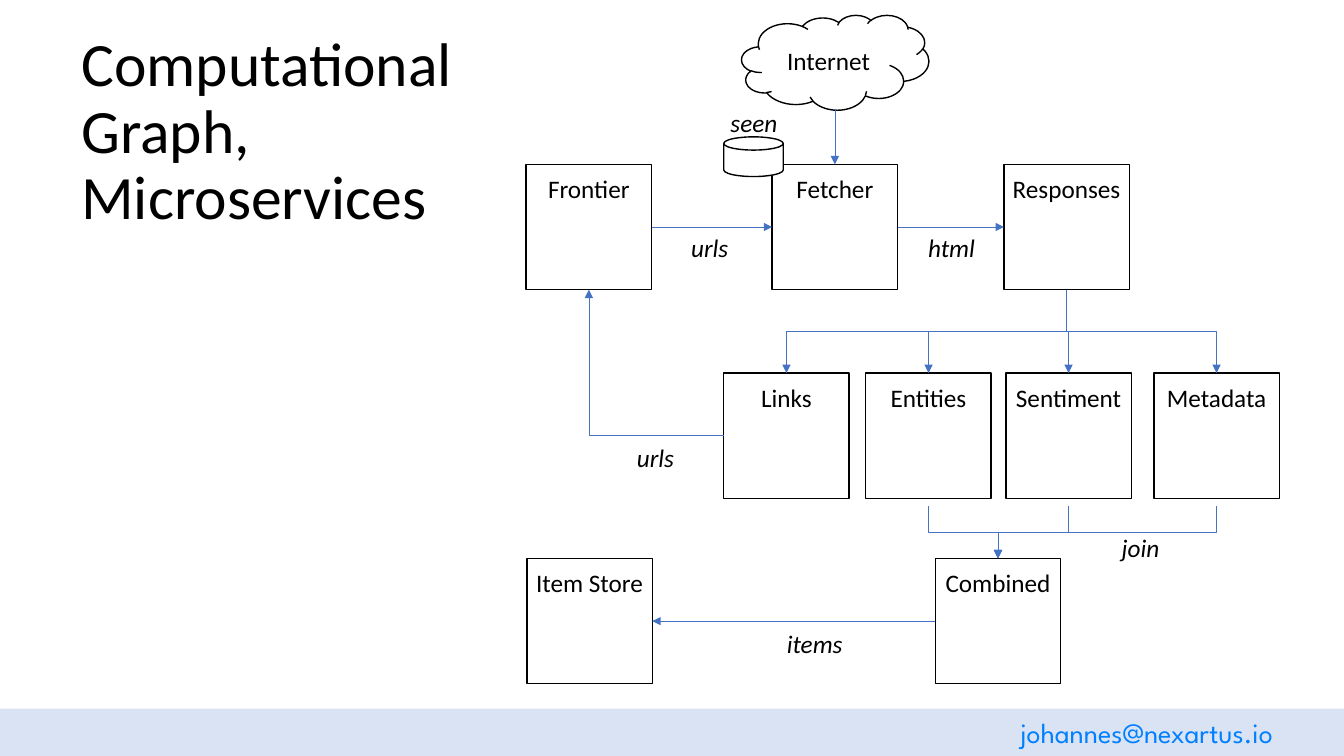
from typing import NamedTuple

from lxml import etree
from pptx import Presentation
from pptx import util as u
from pptx.dml.color import RGBColor
from pptx.enum import shapes, text
from pptx.oxml import ns

BLACK = RGBColor(0x00, 0x00, 0x00)
WHITE = RGBColor(0xFF, 0xFF, 0xFF)
FLOW_BLUE = RGBColor(0x44, 0x72, 0xC4)
FOOTER_BLUE = RGBColor(0xDA, 0xE3, 0xF3)
EMAIL_BLUE = RGBColor(0x00, 0x7F, 0xFF)

SIDE = 3.16
HALF = SIDE / 2
TOP_ROW, MIDDLE_ROW, BOTTOM_ROW = 4.14, 9.4, 14.07
JOIN_Y = 12.75
TOP, LEFT, BOTTOM, RIGHT = range(4)


class Service(NamedTuple):
    name: str
    left: float
    top: float

    @property
    def centre(self) -> float:
        return self.left + HALF


class Caption(NamedTuple):
    words: str
    left: float
    top: float
    width: float


class Flow(NamedTuple):
    source: str
    source_side: int
    target: str
    target_side: int


SERVICES = {service.name: service for service in (
    Service("Fetcher", 19.46, TOP_ROW),
    Service("Responses", 25.3, TOP_ROW),
    Service("Frontier", 13.26, TOP_ROW),
    Service("Item Store", 13.28, BOTTOM_ROW),
    Service("Entities", 21.82, MIDDLE_ROW),
    Service("Sentiment", 25.35, MIDDLE_ROW),
    Service("Links", 18.24, MIDDLE_ROW),
    Service("Metadata", 29.08, MIDDLE_ROW),
    Service("Combined", 23.57, BOTTOM_ROW),
)}
FLOWS = (
    Flow("Combined", LEFT, "Item Store", RIGHT),
    Flow("Frontier", RIGHT, "Fetcher", LEFT),
    Flow("Fetcher", RIGHT, "Responses", LEFT),
)
EXTRACTORS = ("Links", "Entities", "Sentiment", "Metadata")
CAPTIONS = (
    Caption("join", 28.02, 13.28, 1.5),
    Caption("seen", 18.16, 2.59, 1.7),
    Caption("urls", 17.17, 5.72, 1.45),
    Caption("urls", 15.8, 11.02, 1.45),
    Caption("items", 19.58, 15.7, 1.93),
    Caption("html", 23.14, 5.72, 1.7),
)


def add_span(para, words: str, size: float = 18, color: RGBColor = BLACK,
             font: str = "Calibri", italic: bool = False) -> None:
    span = para.add_run()
    span.text = words
    span.font.name = font
    span.font.size = u.Pt(size)
    span.font.color.rgb = color
    span.font.italic = italic


def add_outline(page, kind, left: float, top: float, width: float, height: float):
    """Add a white shape with a thin black line."""
    box = page.shapes.add_shape(kind, u.Cm(left), u.Cm(top), u.Cm(width), u.Cm(height))
    box.shadow.inherit = False
    box.fill.solid()
    box.fill.fore_color.rgb = WHITE
    box.line.color.rgb = BLACK
    box.line.width = u.Pt(1)
    return box


def add_centred_label(box, words: str, anchor) -> None:
    frame = box.text_frame
    frame.word_wrap = False
    frame.vertical_anchor = anchor
    para = frame.paragraphs[0]
    para.alignment = text.PP_ALIGN.CENTER
    add_span(para, words)


def add_service(page, service: Service):
    box = add_outline(page, shapes.MSO_SHAPE.RECTANGLE, service.left, service.top, SIDE, SIDE)
    box.text_frame.margin_top = u.Cm(0.23)
    add_centred_label(box, service.name, text.MSO_ANCHOR.TOP)
    return box


def add_label_box(page, left: float, top: float, width: float, height: float):
    """Add a one-line text box and return its paragraph."""
    box = page.shapes.add_textbox(u.Cm(left), u.Cm(top), u.Cm(width), u.Cm(height))
    box.text_frame.word_wrap = False
    box.text_frame.auto_size = text.MSO_AUTO_SIZE.SHAPE_TO_FIT_TEXT
    return box.text_frame.paragraphs[0]


def add_arrow(page, kind, x1: float, y1: float, x2: float, y2: float):
    arrow = page.shapes.add_connector(kind, u.Cm(x1), u.Cm(y1), u.Cm(x2), u.Cm(y2))
    arrow.line.color.rgb = FLOW_BLUE
    arrow.line.width = u.Pt(0.5)
    etree.SubElement(arrow.line._get_or_add_ln(), ns.qn("a:tailEnd"), type="triangle")
    etree.SubElement(arrow._element.spPr, ns.qn("a:effectLst"))
    return arrow


def add_drop(page, x1: float, y1: float, x2: float, y2: float) -> None:
    """Add an elbow arrow that runs down, across and down again."""
    run, drop = abs(x2 - x1), y2 - y1
    left, top = (x1 + x2 - drop) / 2, (y1 + y2 - run) / 2
    arrow = add_arrow(page, shapes.MSO_CONNECTOR.ELBOW, left, top, left + drop, top + run)
    xfrm = arrow._element.spPr.get_or_add_xfrm()
    if x2 > x1:
        xfrm.set("rot", "16200000")
        xfrm.set("flipH", "1")
    else:
        xfrm.set("rot", "5400000")


def add_return(page, links: Service, frontier: Service) -> None:
    """Add the elbow arrow that runs left from Links and up to Frontier."""
    arrow = add_arrow(page, shapes.MSO_CONNECTOR.ELBOW, frontier.centre,
                      frontier.top + SIDE, links.left, links.top + HALF)
    arrow._element.spPr.get_or_add_xfrm().set("rot", "10800000")
    arrow._element.spPr.find(ns.qn("a:prstGeom")).set("prst", "bentConnector2")


def add_footer(page, deck) -> None:
    bar = page.shapes.add_shape(shapes.MSO_SHAPE.RECTANGLE, 0, u.Cm(17.86),
                                deck.slide_width, u.Cm(1.19))
    bar.shadow.inherit = False
    bar.fill.solid()
    bar.fill.fore_color.rgb = FOOTER_BLUE
    bar.line.fill.background()
    para = add_label_box(page, 24.96, 17.91, 7.87, 1.12)
    para.alignment = text.PP_ALIGN.CENTER
    add_span(para, "johannes@nexartus.io", 20, EMAIL_BLUE, "League Spartan")


def add_title(page) -> None:
    box = page.shapes.add_textbox(u.Cm(1.8), u.Cm(1.52), u.Cm(29.21), u.Cm(3.68))
    box.text_frame.word_wrap = True
    box.text_frame.vertical_anchor = text.MSO_ANCHOR.MIDDLE
    para = box.text_frame.paragraphs[0]
    para.line_spacing = 0.9
    for number, words in enumerate(("Computational", "Graph,", "Microservices")):
        if number:
            para.add_line_break()
        add_span(para, words, 44)


def main() -> None:
    deck = Presentation()
    deck.slide_width, deck.slide_height = u.Cm(33.87), u.Cm(19.05)
    page = deck.slides.add_slide(deck.slide_layouts[6])
    add_footer(page, deck)
    add_title(page)

    cloud = add_outline(page, shapes.MSO_SHAPE.CLOUD, 18.69, 0.38, 4.72, 2.39)
    add_centred_label(cloud, "Internet", text.MSO_ANCHOR.MIDDLE)
    boxes = {name: add_service(page, service) for name, service in SERVICES.items()}

    straight = shapes.MSO_CONNECTOR.STRAIGHT
    fetcher, responses, combined = (
        SERVICES[name] for name in ("Fetcher", "Responses", "Combined"))
    download = add_arrow(page, straight, fetcher.centre, 2.74, fetcher.centre, TOP_ROW)
    download.end_connect(boxes["Fetcher"], TOP)
    for flow in FLOWS:
        arrow = add_arrow(page, straight, 0, 0, 1, 1)
        arrow.begin_connect(boxes[flow.source], flow.source_side)
        arrow.end_connect(boxes[flow.target], flow.target_side)

    for name in EXTRACTORS:
        centre = SERVICES[name].centre
        add_drop(page, responses.centre, TOP_ROW + SIDE, centre, MIDDLE_ROW)
        if name != "Links":
            add_drop(page, centre, JOIN_Y, combined.centre, BOTTOM_ROW)
    add_return(page, SERVICES["Links"], SERVICES["Frontier"])

    add_outline(page, shapes.MSO_SHAPE.FLOWCHART_MAGNETIC_DISK, 18.24, 3.45, 1.5, 1)
    for caption in CAPTIONS:
        para = add_label_box(page, caption.left, caption.top, caption.width, 1.02)
        add_span(para, caption.words, italic=True)
    deck.save("out.pptx")


if __name__ == "__main__":
    main()
